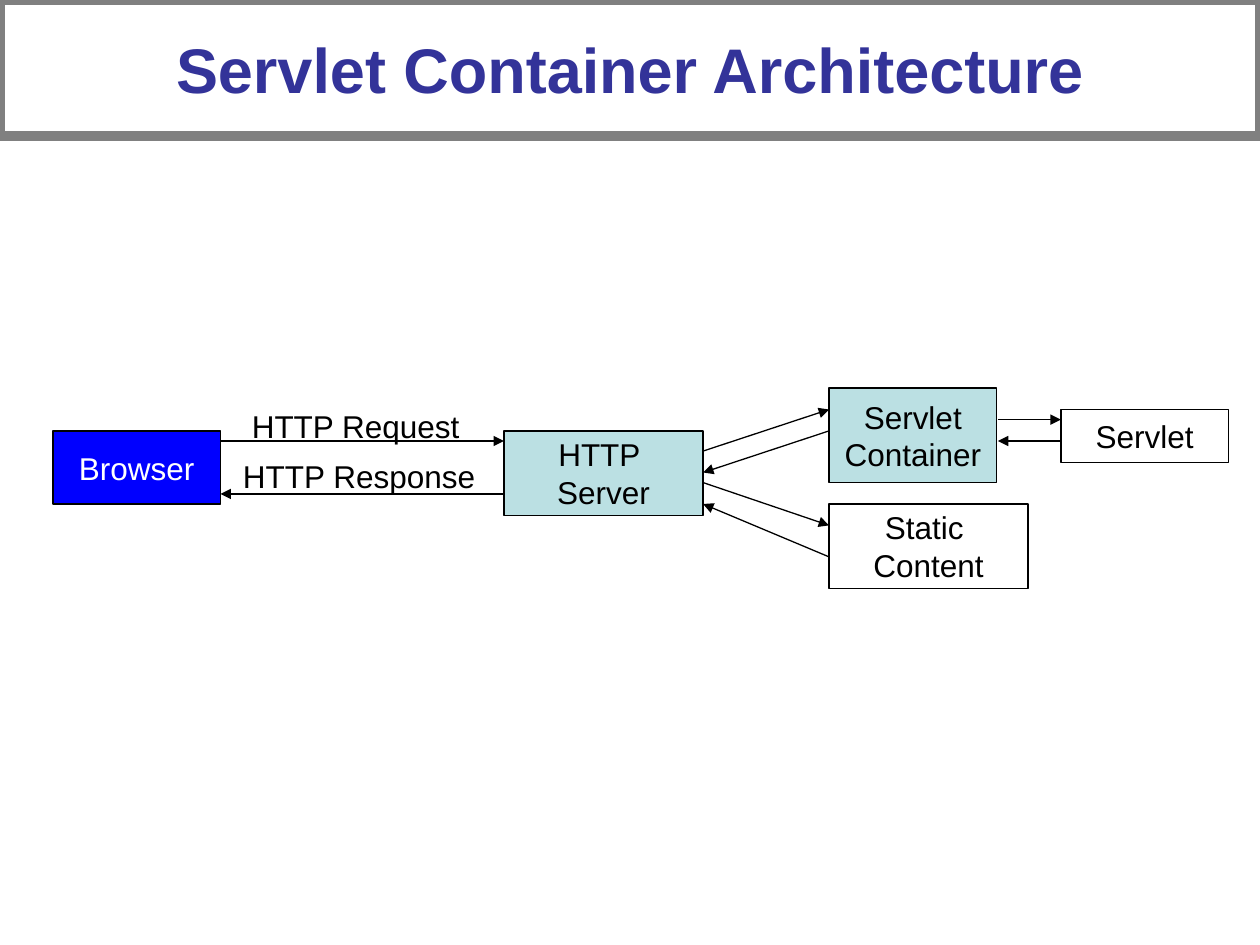
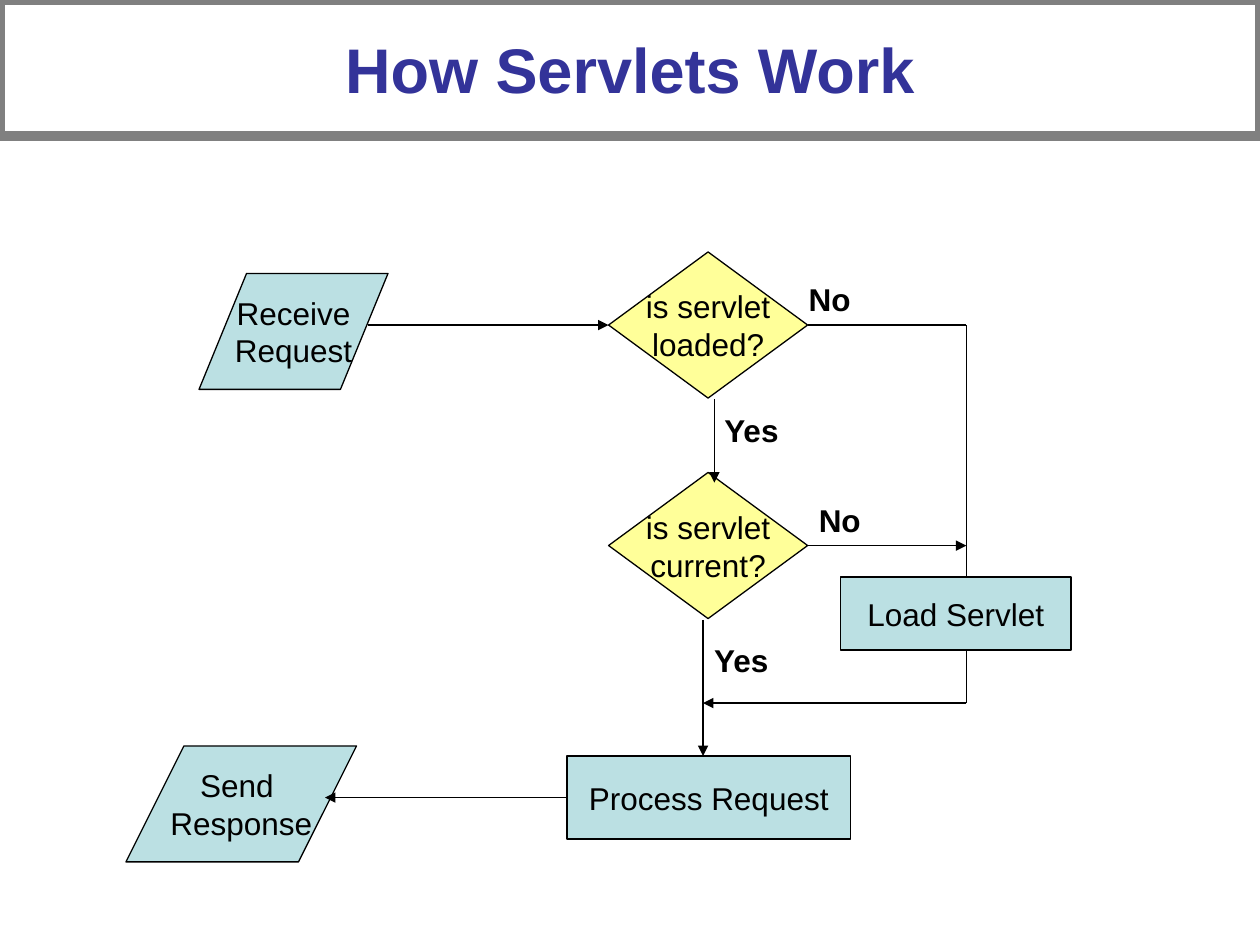
from lxml import etree
from pptx import Presentation
from pptx.dml.color import RGBColor
from pptx.enum.shapes import MSO_CONNECTOR, MSO_SHAPE
from pptx.enum.text import MSO_ANCHOR, PP_ALIGN
from pptx.oxml.ns import qn
from pptx.util import Inches, Pt

RECTANGLE = MSO_SHAPE.RECTANGLE
DIAMOND = MSO_SHAPE.DIAMOND
PARALLELOGRAM = MSO_SHAPE.PARALLELOGRAM
STRAIGHT = MSO_CONNECTOR.STRAIGHT
CENTER = PP_ALIGN.CENTER
LEFT = PP_ALIGN.LEFT
MIDDLE = MSO_ANCHOR.MIDDLE

FONT = "Arial"
BLACK, WHITE = "000000", "FFFFFF"
BLUE, PALE_BLUE, YELLOW = "0000FF", "BBE0E3", "FFFF99"
TITLE_COLOR, FRAME_COLOR = "333399", "808080"
LEFT_SIDE, RIGHT_SIDE = 1, 3


def rgb(code):
    return RGBColor.from_string(code)


def write(shape, lines, color=BLACK, size=18, bold=False, align=CENTER, wrap=False):
    """Put one paragraph per line into the shape."""
    frame = shape.text_frame
    frame.word_wrap = wrap
    frame.text = "\n".join(lines)
    for para in frame.paragraphs:
        para.alignment = align
        para.font.name = FONT
        para.font.size = Pt(size)
        para.font.bold = bold
        para.font.color.rgb = rgb(color)


def add_node(page, kind, area, lines, fill=None, line=BLACK, weight=0.75, **text):
    """Outlined shape with centred text; no fill unless one is given."""
    node = page.shapes.add_shape(kind, *map(Inches, area))
    node.shadow.inherit = False
    if fill:
        node.fill.solid()
        node.fill.fore_color.rgb = rgb(fill)
    else:
        node.fill.background()
    node.line.color.rgb = rgb(line)
    node.line.width = Pt(weight)
    node.text_frame.vertical_anchor = MIDDLE
    write(node, lines, **text)
    return node


def add_label(page, area, text, bold=False):
    box = page.shapes.add_textbox(*map(Inches, area))
    write(box, [text], bold=bold, align=LEFT)


def add_link(page, start, end, arrow=True, source=None, target=None):
    """Straight line; source and target are (shape, side) pairs to join."""
    link = page.shapes.add_connector(STRAIGHT, *map(Inches, (*start, *end)))
    if source:
        link.begin_connect(*source)
    if target:
        link.end_connect(*target)
    link.line.color.rgb = rgb(BLACK)
    link.line.width = Pt(0.75)
    properties = link._element.spPr
    if arrow:
        tail = etree.SubElement(properties.find(qn("a:ln")), qn("a:tailEnd"))
        tail.set("type", "triangle")
    etree.SubElement(properties, qn("a:effectLst"))


def add_page(deck, title):
    """Blank page with the framed title band."""
    page = deck.slides.add_slide(deck.slide_layouts[6])
    add_node(page, RECTANGLE, (0, 0, 10, 1.08), [title], line=FRAME_COLOR,
             weight=6, color=TITLE_COLOR, size=36, bold=True, wrap=True)
    return page


def build_architecture(deck):
    page = add_page(deck, "Servlet Container Architecture")
    for area, lines, fill, color in (
        ((0.42, 3.42, 1.33, 0.58), ["Browser"], BLUE, WHITE),
        ((4, 3.42, 1.58, 0.67), ["HTTP ", "Server"], PALE_BLUE, BLACK),
        ((6.58, 4, 1.58, 0.67), ["Static ", "Content"], None, BLACK),
        ((6.58, 3.08, 1.33, 0.75), ["Servlet", "Container"], PALE_BLUE, BLACK),
        ((8.42, 3.25, 1.33, 0.42), ["Servlet"], None, BLACK),
    ):
        add_node(page, RECTANGLE, area, lines, fill, color=color)

    add_label(page, (1.9, 3.18, 1.85, 0.4), "HTTP Request")
    add_label(page, (1.83, 3.58, 2.05, 0.4), "HTTP Response")

    # Each exchange: left x, right x, request heights, response heights
    for left, right, request, response in (
        (1.75, 4, (3.5, 3.5), (3.92, 3.92)),
        (5.58, 6.58, (3.58, 3.25), (3.42, 3.75)),
        (5.58, 6.58, (3.83, 4.17), (4.42, 4)),
        (7.92, 8.42, (3.33, 3.33), (3.5, 3.5)),
    ):
        add_link(page, (left, request[0]), (right, request[1]))
        add_link(page, (right, response[0]), (left, response[1]))


def build_flowchart(deck):
    page = add_page(deck, "How Servlets Work")
    receive = add_node(page, PARALLELOGRAM, (1.58, 2.17, 1.5, 0.92),
                       ["Receive", "Request"], PALE_BLUE)
    receive.adjustments[0] = 0.41
    send = add_node(page, PARALLELOGRAM, (1, 5.92, 1.83, 0.92),
                    ["Send ", "Response"], PALE_BLUE)
    send.adjustments[0] = 0.5
    loaded, current = [
        add_node(page, DIAMOND, (4.83, top, 1.58, 1.16), ["is servlet", question], YELLOW)
        for top, question in ((2, "loaded?"), (3.75, "current?"))
    ]
    process = add_node(page, RECTANGLE, (4.5, 6, 2.25, 0.66), ["Process Request"], PALE_BLUE)

    load_x, process_x = 7.67, 5.58
    add_link(page, (2.92, 2.58), (4.83, 2.58), target=(loaded, LEFT_SIDE))
    add_link(page, (5.67, 3.17), (5.67, 3.83))
    add_link(page, (6.41, 2.58), (load_x, 2.58), arrow=False, source=(loaded, RIGHT_SIDE))
    add_link(page, (load_x, 2.58), (load_x, 4.58), arrow=False)
    add_link(page, (6.41, 4.33), (load_x, 4.33), source=(current, RIGHT_SIDE))
    add_node(page, RECTANGLE, (6.67, 4.58, 1.83, 0.58), ["Load Servlet"], PALE_BLUE)
    add_link(page, (load_x, 5.17), (load_x, 5.58), arrow=False)
    add_link(page, (load_x, 5.58), (process_x, 5.58))
    add_link(page, (process_x, 4.92), (process_x, 6))
    add_link(page, (4.5, 6.33), (2.58, 6.33), source=(process, LEFT_SIDE))

    for left, top, width, answer in (
        (5.65, 3.21, 0.64, "Yes"),
        (5.57, 5.04, 0.64, "Yes"),
        (6.32, 2.17, 0.53, "No"),
        (6.4, 3.93, 0.53, "No"),
    ):
        add_label(page, (left, top, width, 0.4), answer, bold=True)


def main():
    deck = Presentation()
    deck.slide_width, deck.slide_height = Inches(10), Inches(7.5)
    build_architecture(deck)
    build_flowchart(deck)
    deck.save("out.pptx")


if __name__ == "__main__":
    main()
